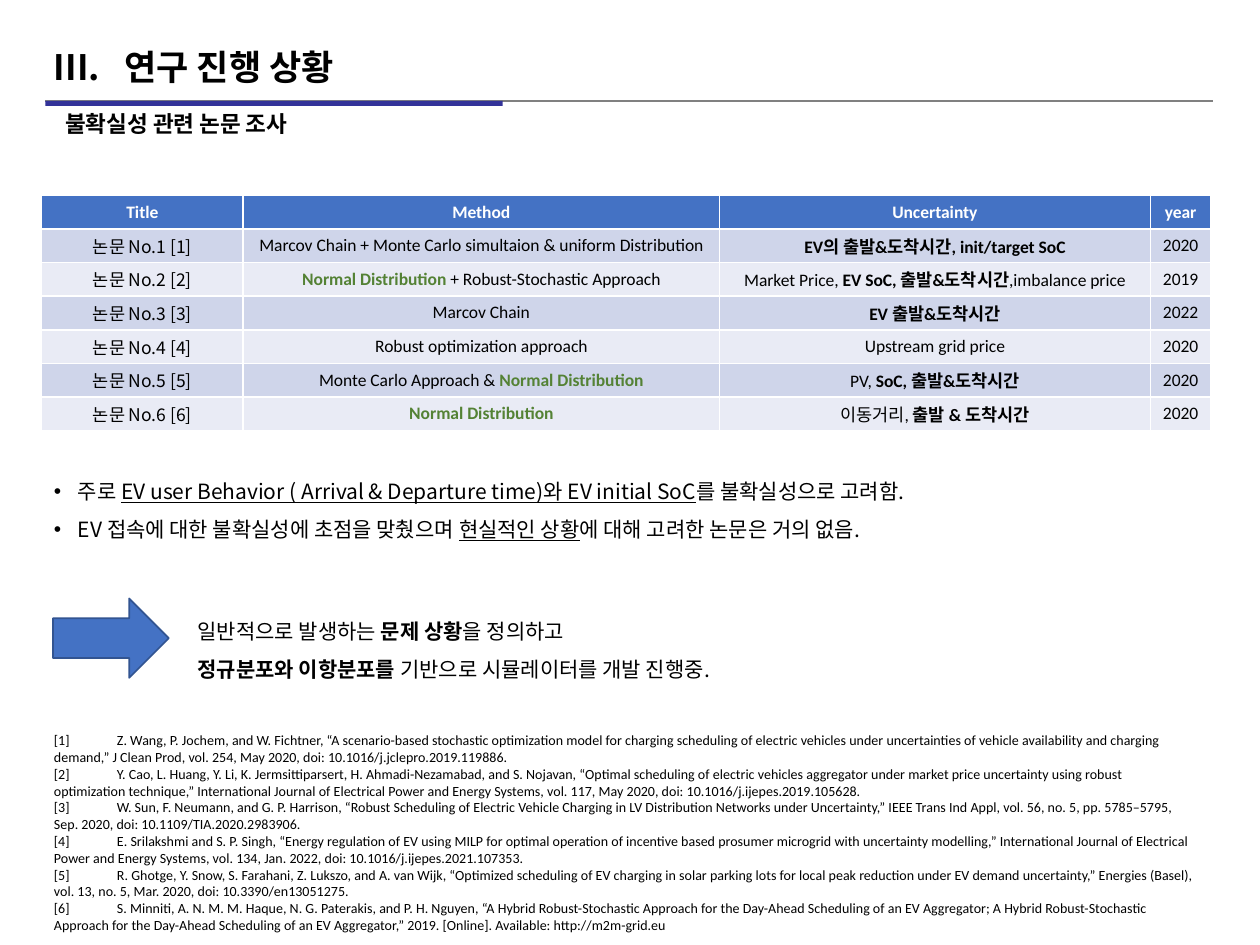
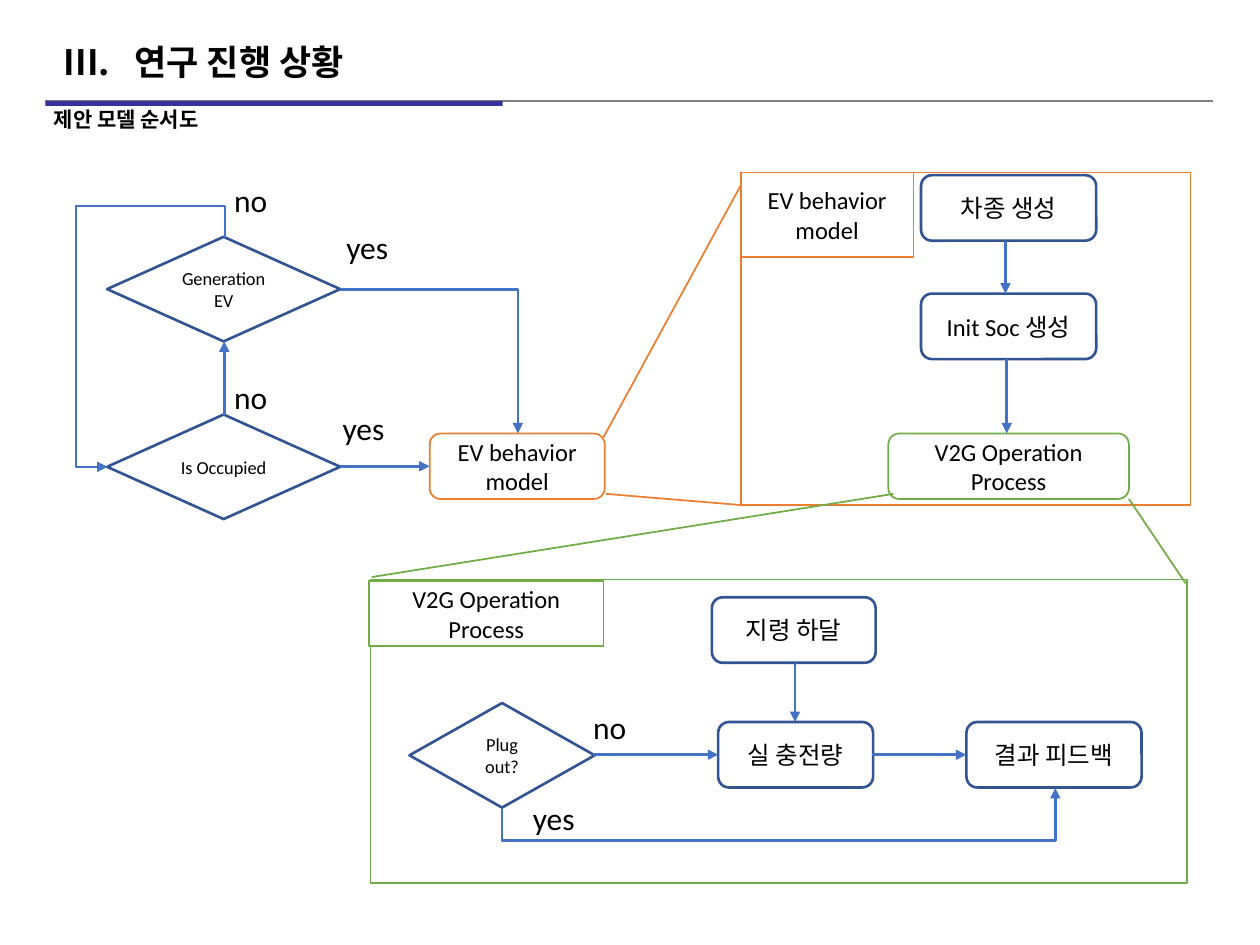
from dataclasses import dataclass
from typing import NamedTuple

import pptx
import pptx.dml.color
import pptx.enum.shapes
import pptx.enum.text
import pptx.oxml.ns
import pptx.util
from lxml import etree
from pptx import Presentation

Inches = pptx.util.Inches
Pt = pptx.util.Pt
qn = pptx.oxml.ns.qn
Shape = pptx.enum.shapes.MSO_SHAPE
Connector = pptx.enum.shapes.MSO_CONNECTOR
Align = pptx.enum.text.PP_ALIGN
Anchor = pptx.enum.text.MSO_ANCHOR


@dataclass(frozen=True)
class Theme:
    black: str = "000000"
    white: str = "FFFFFF"
    rule: str = "808080"
    band: str = "333399"
    blue: str = "4472C4"
    navy: str = "325491"
    orange: str = "ED7D31"
    green: str = "70AD47"
    highlight: str = "548235"
    stripes: tuple = ("CFD5EA", "E9EBF5")
    latin: str = "Calibri"
    korean: str = "Noto Sans CJK KR"
    title: float = 20
    label: float = 18
    node: float = 14
    body: float = 12
    decision: float = 10.5
    cell: float = 10
    reference: float = 8


THEME = Theme()


class Span(NamedTuple):
    text: str
    bold: bool = False
    underline: bool = False
    color: str = THEME.black


class Node(NamedTuple):
    text: str
    at: tuple
    kind: object = Shape.ROUNDED_RECTANGLE
    line: str = THEME.navy
    width: float = 1.5
    fill: str | None = None
    size: float = THEME.node


class Link(NamedTuple):
    start: tuple
    end: tuple
    color: str = THEME.blue
    width: float = 1.5
    arrow: bool = True


class Elbow(NamedTuple):
    link: Link
    preset: str
    rotation: int = 0
    adjust: tuple = ()


# Text and shape helpers
def rgb(color: str):
    return pptx.dml.color.RGBColor.from_string(color)


def child(parent, tag: str, **attributes: str):
    return etree.SubElement(parent, qn(tag), attributes)


def write(frame, paragraphs: list, *, size: float, font: str = THEME.latin,
          color: str = THEME.black, bold: bool = False, align=Align.LEFT,
          anchor=Anchor.TOP, spacing: float = 1.0, before: float = 0,
          bullet: str | None = None, hang: float = 0) -> None:
    """Each paragraph is a string or a list of strings and spans."""
    frame.word_wrap = True
    frame.vertical_anchor = anchor
    for index, spans in enumerate(paragraphs):
        para = frame.add_paragraph() if index else frame.paragraphs[0]
        para.alignment, para.line_spacing = align, spacing
        para.space_before = Pt(before)
        props = para._p.get_or_add_pPr()
        props.set("defTabSz", str(Inches(0.5)))
        if bullet:
            props.set("marL", str(Inches(hang)))
            props.set("indent", str(-Inches(hang)))
            if bullet == "III.":
                child(props, "a:buFont", typeface="+mj-lt")
                child(props, "a:buAutoNum", type="romanUcPeriod", startAt="3")
            else:
                child(props, "a:buFont", typeface="Arial")
                child(props, "a:buChar", char=bullet)
        for span in [spans] if isinstance(spans, str) else spans:
            if isinstance(span, str):
                span = Span(span, bold, color=color)
            for number, piece in enumerate(span.text.split("\n")):
                if number:
                    para.add_line_break()
                if not piece:
                    continue
                run = para.add_run()
                run.text = piece
                run.font.size, run.font.name = Pt(size), font
                run.font.bold, run.font.underline = span.bold, span.underline
                run.font.color.rgb = rgb(span.color)
                child(run._r.get_or_add_rPr(), "a:ea", typeface=THEME.korean)


def add_text(page, at: tuple, paragraphs: list, **style) -> None:
    box = page.shapes.add_textbox(*map(Inches, at))
    write(box.text_frame, paragraphs, **style)


def add_box(page, at: tuple, kind=Shape.RECTANGLE, fill: str | None = None,
            line: str | None = None, width: float = 1):
    box = page.shapes.add_shape(kind, *map(Inches, at))
    box.shadow.inherit = False
    if fill:
        box.fill.solid()
        box.fill.fore_color.rgb = rgb(fill)
    else:
        box.fill.background()
    if line:
        box.line.color.rgb = rgb(line)
        box.line.width = Pt(width)
    else:
        box.line.fill.background()
    return box


def add_node(page, node: Node) -> None:
    box = add_box(page, node.at, node.kind, node.fill, node.line, node.width)
    if node.text:
        write(box.text_frame, [node.text], size=node.size, align=Align.CENTER,
              anchor=Anchor.MIDDLE)


def add_link(page, link: Link, kind=Connector.STRAIGHT):
    line = page.shapes.add_connector(kind, *map(Inches, link.start + link.end))
    line.line.color.rgb = rgb(link.color)
    line.line.width = Pt(link.width)
    props = line.element.spPr
    if link.arrow:
        child(props.find(qn("a:ln")), "a:tailEnd", type="triangle")
    child(props, "a:effectLst")
    return line


def add_elbow(page, elbow: Elbow) -> None:
    props = add_link(page, elbow.link, Connector.ELBOW).element.spPr
    props.find(qn("a:xfrm")).set("rot", str(elbow.rotation * 60000))
    geometry = props.find(qn("a:prstGeom"))
    geometry.set("prst", elbow.preset)
    guides = geometry.find(qn("a:avLst"))
    for number, value in enumerate(elbow.adjust, 1):
        child(guides, "a:gd", name=f"adj{number}", fmla=f"val {value}")


def add_page(deck, title_at: tuple, subtitle: str, subtitle_at: tuple,
             subtitle_size: float):
    page = deck.slides.add_slide(deck.slide_layouts[6])
    add_link(page, Link((0.36, 0.8), (9.63, 0.8), THEME.rule, 1, False))
    add_box(page, (0.36, 0.8, 3.63, 0.04), fill=THEME.band)
    box = add_box(page, subtitle_at, Shape.ROUNDED_RECTANGLE)
    box.adjustments[0] = 0
    write(box.text_frame, [subtitle], size=subtitle_size, font=THEME.korean,
          bold=True, before=5.5)
    add_text(page, title_at, ["연구 진행 상황"], size=THEME.title,
             font=THEME.korean, bold=True, anchor=Anchor.MIDDLE, spacing=0.9,
             bullet="III.", hang=0.56)
    return page


# Literature survey content
NORMAL = Span("Normal Distribution", True, color=THEME.highlight)
HEADINGS = ["Title", "Method", "Uncertainty", "year"]
COLUMNS = [1.6, 3.78, 3.42, 0.48]
PAPERS = [
    (["Marcov Chain + Monte Carlo simultaion & uniform Distribution"],
     [Span("EV의 출발&도착시간, init/target SoC", True)], "2020"),
    ([NORMAL, " + Robust-Stochastic Approach"],
     ["Market Price, ", Span("EV SoC, 출발&도착시간", True), ",imbalance price"],
     "2019"),
    (["Marcov Chain"], [Span("EV 출발&도착시간", True)], "2022"),
    (["Robust optimization approach"], ["Upstream grid price"], "2020"),
    (["Monte Carlo Approach & ", NORMAL],
     ["PV, ", Span("SoC, 출발&도착시간", True)], "2020"),
    ([NORMAL], ["이동거리, ", Span("출발 & 도착시간", True)], "2020"),
]
FINDINGS = [
    ["주로 ", Span("EV user Behavior ( Arrival & Departure time)와 EV initial SoC",
                 underline=True), "를 불확실성으로 고려함."],
    ["EV 접속에 대한 불확실성에 초점을 맞췄으며 ",
     Span("현실적인 상황", underline=True), "에 대해 고려한 논문은 거의 없음."],
]
CONCLUSION = ["일반적으로 발생하는 ", Span("문제 상황", True), "을 정의하고\n",
              Span("정규분포와 이항분포를 ", True),
              "기반으로 시뮬레이터를 개발 진행중."]
REFERENCES = [
    "Z. Wang, P. Jochem, and W. Fichtner, “A scenario-based stochastic optimization model for charging scheduling of electric vehicles under uncertainties of vehicle availability and charging demand,” J Clean Prod, vol. 254, May 2020, doi: 10.1016/j.jclepro.2019.119886.",
    "Y. Cao, L. Huang, Y. Li, K. Jermsittiparsert, H. Ahmadi-Nezamabad, and S. Nojavan, “Optimal scheduling of electric vehicles aggregator under market price uncertainty using robust optimization technique,” International Journal of Electrical Power and Energy Systems, vol. 117, May 2020, doi: 10.1016/j.ijepes.2019.105628.",
    "W. Sun, F. Neumann, and G. P. Harrison, “Robust Scheduling of Electric Vehicle Charging in LV Distribution Networks under Uncertainty,” IEEE Trans Ind Appl, vol. 56, no. 5, pp. 5785–5795, Sep. 2020, doi: 10.1109/TIA.2020.2983906.",
    "E. Srilakshmi and S. P. Singh, “Energy regulation of EV using MILP for optimal operation of incentive based prosumer microgrid with uncertainty modelling,” International Journal of Electrical Power and Energy Systems, vol. 134, Jan. 2022, doi: 10.1016/j.ijepes.2021.107353.",
    "R. Ghotge, Y. Snow, S. Farahani, Z. Lukszo, and A. van Wijk, “Optimized scheduling of EV charging in solar parking lots for local peak reduction under EV demand uncertainty,” Energies (Basel), vol. 13, no. 5, Mar. 2020, doi: 10.3390/en13051275.",
    "S. Minniti, A. N. M. M. Haque, N. G. Paterakis, and P. H. Nguyen, “A Hybrid Robust-Stochastic Approach for the Day-Ahead Scheduling of an EV Aggregator; A Hybrid Robust-Stochastic Approach for the Day-Ahead Scheduling of an EV Aggregator,” 2019. [Online]. Available: http://m2m-grid.eu",
]

# Flowchart content
BEHAVIOR, OPERATION = "EV behavior model", "V2G Operation Process"
ORANGE = dict(line=THEME.orange, width=1)
GREEN = dict(line=THEME.green, width=1)
DECISION = dict(kind=Shape.DIAMOND, size=THEME.decision)
NODES = [
    Node("", (5.88, 1.37, 3.57, 2.64), Shape.RECTANGLE, **ORANGE),
    Node(BEHAVIOR, (5.88, 1.37, 1.37, 0.67), Shape.RECTANGLE, fill=THEME.white, **ORANGE),
    Node("", (2.94, 4.6, 6.48, 2.41), Shape.RECTANGLE, **GREEN),
    Node(OPERATION, (2.93, 4.61, 1.86, 0.52), Shape.RECTANGLE, fill=THEME.white, **GREEN),
    Node("Is Occupied", (0.85, 3.29, 1.85, 0.83), **DECISION),
    Node("Generation EV", (0.85, 1.88, 1.85, 0.83), **DECISION),
    Node("Plug out?", (3.25, 5.58, 1.47, 0.83), **DECISION),
    Node(BEHAVIOR, (3.41, 3.44, 1.39, 0.52), fill=THEME.white, **ORANGE),
    Node(OPERATION, (7.05, 3.44, 1.91, 0.52), fill=THEME.white, **GREEN),
    Node("차종 생성", (7.31, 1.39, 1.39, 0.52)),
    Node("Init Soc 생성", (7.31, 2.33, 1.39, 0.52)),
    Node("지령 하달", (5.65, 4.74, 1.3, 0.52)),
    Node("실 충전량", (5.7, 5.73, 1.23, 0.52)),
    Node("결과 피드백", (7.67, 5.73, 1.39, 0.52)),
]
LINKS = [
    Link((2.7, 3.7), (3.41, 3.7)),
    Link((1.78, 3.29), (1.78, 2.71)),
    Link((7.98, 1.91), (7.98, 2.33)),
    Link((7.99, 2.85), (7.99, 3.44)),
    Link((6.31, 5.26), (6.31, 5.73)),
    Link((4.71, 5.99), (5.7, 5.99)),
    Link((6.92, 5.99), (7.67, 5.99)),
    Link((4.79, 3.47), (5.88, 1.47), THEME.orange, 1, False),
    Link((4.81, 3.92), (5.9, 4.01), THEME.orange, 1, False),
    Link((7.09, 3.92), (2.95, 4.58), THEME.green, 1, False),
    Link((8.96, 3.96), (9.41, 4.63), THEME.green, 1, False),
]
ELBOWS = [
    Elbow(Link((2.23, 3.26), (0.41, 2.33)), "bentConnector4", 270, (-13800, 127000)),
    Elbow(Link((2.7, 2.3), (4.11, 3.44)), "bentConnector2"),
    Elbow(Link((6.26, 8.53), (6.1, 4.14)), "bentConnector3", 90, (-160400,)),
]
ANSWERS = [("no", 1.76, 2.95), ("no", 1.76, 1.39), ("yes", 2.65, 1.76),
           ("yes", 2.62, 3.2), ("no", 4.61, 5.57), ("yes", 4.13, 6.29)]


def add_paper_table(page) -> None:
    rows = [HEADINGS] + [[f"논문 No.{n} [{n}]", *paper]
                         for n, paper in enumerate(PAPERS, 1)]
    table = page.shapes.add_table(len(rows), len(COLUMNS), Inches(0.33), Inches(1.55),
                                  Inches(sum(COLUMNS)), Inches(1.87)).table
    for column, width in zip(table.columns, COLUMNS):
        column.width = Inches(width)
    for y, row in enumerate(rows):
        for x, content in enumerate(row):
            cell = table.cell(y, x)
            cell.margin_left = cell.margin_right = cell.margin_top = cell.margin_bottom = 0
            cell.fill.solid()
            cell.fill.fore_color.rgb = rgb(THEME.stripes[(y - 1) % 2] if y else THEME.blue)
            cell.vertical_anchor = Anchor.MIDDLE
            write(cell.text_frame, [content], size=THEME.cell, align=Align.CENTER,
                  anchor=None, bold=not y, color=THEME.black if y else THEME.white,
                  font=THEME.korean if y and not x else THEME.latin)


def add_survey(deck) -> None:
    page = add_page(deck, (0.33, 0.3, 9.75, 0.5), "불확실성 관련 논문 조사",
                    (0.42, 0.82, 9.19, 0.36), 12.9)
    add_paper_table(page)
    body = dict(size=THEME.body, font=THEME.korean, spacing=1.5)
    add_text(page, (0.33, 3.65, 8.53, 0.67), FINDINGS, bullet="•", hang=0.19, **body)
    add_box(page, (0.42, 4.75, 0.92, 0.63), Shape.RIGHT_ARROW, THEME.blue, THEME.navy)
    add_text(page, (1.47, 4.76, 8.53, 0.67), [CONCLUSION], **body)
    add_text(page, (0.33, 5.76, 9.28, 1.7),
             [f"[{n}]\t{entry}" for n, entry in enumerate(REFERENCES, 1)],
             size=THEME.reference)


def add_flowchart(deck) -> None:
    page = add_page(deck, (0.41, 0.26, 9, 0.5), "제안 모델 순서도",
                    (0.33, 0.8, 2.1, 0.36), THEME.body)
    for node in NODES:
        add_node(page, node)
    for link in LINKS:
        add_link(page, link)
    for elbow in ELBOWS:
        add_elbow(page, elbow)
    for answer, left, top in ANSWERS:
        add_text(page, (left, top, 0.71, 0.4), [answer], size=THEME.label)


def main() -> None:
    deck = Presentation()
    deck.slide_width, deck.slide_height = Inches(10), Inches(7.5)
    add_survey(deck)
    add_flowchart(deck)
    deck.save("out.pptx")


if __name__ == "__main__":
    main()
